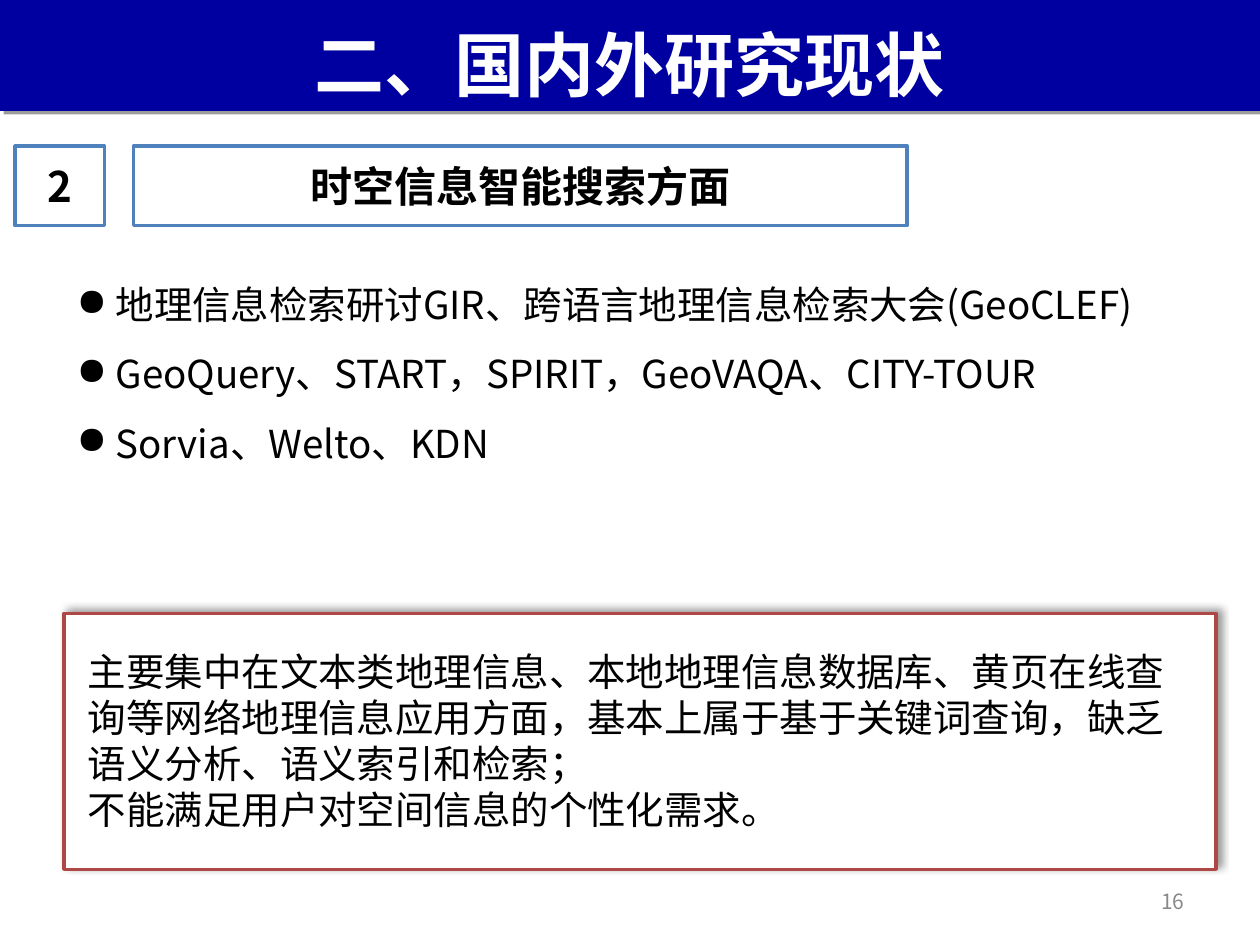
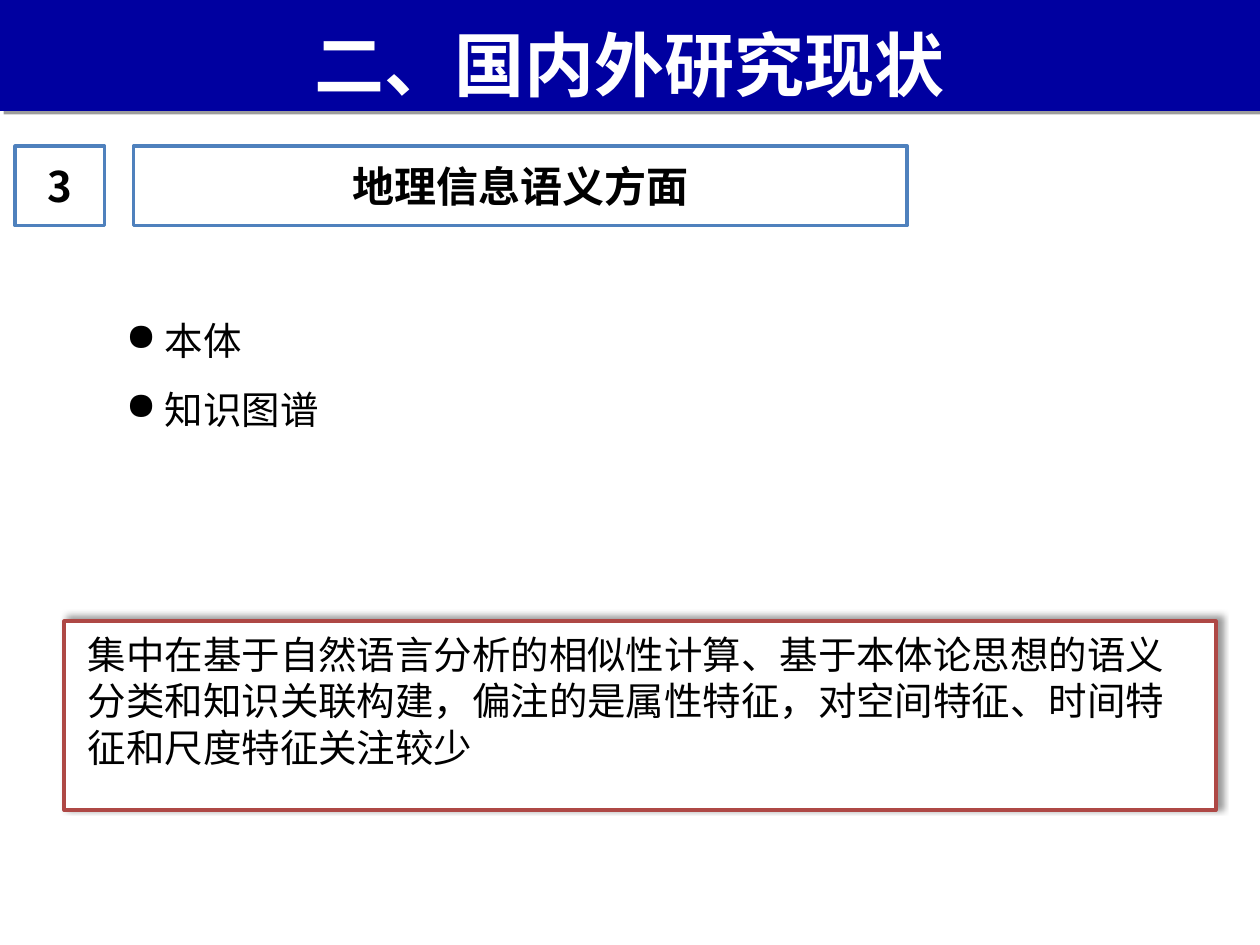
import pptx
import pptx.dml.color
import pptx.enum.shapes
import pptx.enum.text
import pptx.oxml
import pptx.oxml.ns
import pptx.util
from lxml import etree

Inches = pptx.util.Inches
Pt = pptx.util.Pt
ALIGN = pptx.enum.text.PP_ALIGN
ANCHOR = pptx.enum.text.MSO_ANCHOR

CHAPTER = "二、国内外研究现状"
SECTIONS = [
    {
        "number": "2",
        "topic": "时空信息智能搜索方面",
        "works": [
            "地理信息检索研讨GIR、跨语言地理信息检索大会(GeoCLEF)",
            "GeoQuery、START，SPIRIT，GeoVAQA、CITY-TOUR",
            "Sorvia、Welto、KDN",
        ],
        "works_at": (0.51, 2, 9.06, 1.77),
        "summary": [
            "主要集中在文本类地理信息、本地地理信息数据库、黄页在线查询等网络地理信息应用方面，"
            "基本上属于基于关键词查询，缺乏语义分析、语义索引和检索；",
            "不能满足用户对空间信息的个性化需求。",
        ],
        "frame_at": (0.51, 4.87, 9.14, 2.03),
        "summary_at": (0.6, 5.09, 8.9, 1.58),
        "page": "16",
    },
    {
        "number": "3",
        "topic": "地理信息语义方面",
        "works": ["本体", "知识图谱"],
        "works_at": (0.9, 2.28, 8.74, 1.21),
        "summary": [
            "集中在基于自然语言分析的相似性计算、基于本体论思想的语义分类和知识关联构建，"
            "偏注的是属性特征，对空间特征、时间特征和尺度特征关注较少",
        ],
        "frame_at": (0.51, 4.93, 9.14, 1.5),
        "summary_at": (0.6, 4.96, 8.9, 1.21),
        "page": None,
    },
]

COLORS = {
    "band": "0000A0",
    "white": "FFFFFF",
    "black": "000000",
    "heading": "4F81BD",
    "frame": "AE4845",
    "page": "898989",
}
FONT = "Noto Sans CJK SC"
STYLES = {
    "title": {"size": Pt(40), "bold": True, "color": "white"},
    "heading": {"size": Pt(24), "bold": True, "color": "black"},
    "body": {"size": Pt(22), "bold": False, "color": "black"},
    "page": {"size": Pt(12), "bold": False, "color": "page"},
}
BAND_SHADOW = {"alpha": 38, "blur": 0, "distance": 3, "angle": 45}
FRAME_SHADOW = {"alpha": 40, "blur": 4, "distance": 3, "angle": 315}
BULLET_INDENT = Inches(0.31)


def rgb(color):
    return pptx.dml.color.RGBColor.from_string(COLORS[color])


def add_rect(slide, at, fill, line=None, shadow=None):
    rect = slide.shapes.add_shape(
        pptx.enum.shapes.MSO_SHAPE.RECTANGLE, *map(Inches, at))
    rect.shadow.inherit = False
    rect.fill.solid()
    rect.fill.fore_color.rgb = rgb(fill)
    if line:
        rect.line.color.rgb = rgb(line)
        rect.line.width = Pt(2)
    else:
        rect.line.fill.background()
    if shadow:
        effects = rect._element.spPr.find(pptx.oxml.ns.qn("a:effectLst"))
        effects.append(pptx.oxml.parse_xml(
            f'<a:outerShdw {pptx.oxml.ns.nsdecls("a")} blurRad="{Pt(shadow["blur"])}"'
            f' dist="{Pt(shadow["distance"])}" dir="{shadow["angle"] * 60000}"'
            ' algn="ctr" rotWithShape="0">'
            f'<a:srgbClr val="{COLORS["black"]}"><a:alpha val="{shadow["alpha"] * 1000}"/>'
            '</a:srgbClr></a:outerShdw>'))
    return rect


def add_bullet(paragraph):
    properties = paragraph._p.get_or_add_pPr()
    properties.set("marL", str(BULLET_INDENT))
    properties.set("indent", str(-BULLET_INDENT))
    bullet = etree.SubElement(properties, pptx.oxml.ns.qn("a:buChar"))
    bullet.set("char", "●")
    paragraph.line_spacing = 1.5


def write(shape, lines, style, align=ALIGN.LEFT, anchor=ANCHOR.MIDDLE, bullets=False):
    frame = shape.text_frame
    frame.word_wrap = True
    frame.vertical_anchor = anchor
    for index, line in enumerate(lines):
        paragraph = frame.add_paragraph() if index else frame.paragraphs[0]
        paragraph.alignment = align
        if bullets:
            add_bullet(paragraph)
        run = paragraph.add_run()
        run.text = line
        run.font.name = FONT
        for name, value in STYLES[style].items():
            if name == "color":
                run.font.color.rgb = rgb(value)
            else:
                setattr(run.font, name, value)
        east_asian = etree.SubElement(run.font._element, pptx.oxml.ns.qn("a:ea"))
        east_asian.set("typeface", FONT)


def add_text(slide, at, lines, style, **layout):
    write(slide.shapes.add_textbox(*map(Inches, at)), lines, style, **layout)


def add_heading(slide, at, text):
    box = add_rect(slide, at, "white", line="heading")
    write(box, [text], "heading", align=ALIGN.CENTER)


def build_section(deck, section):
    slide = deck.slides.add_slide(deck.slide_layouts[6])
    add_rect(slide, (0, 0, 10, 0.88), "band", shadow=BAND_SHADOW)
    add_text(slide, (0.27, 0.13, 9.45, 0.75), [CHAPTER], "title", align=ALIGN.CENTER)
    if section["page"]:
        add_text(slide, (7.17, 6.95, 2.33, 0.4), [section["page"]], "page",
                 align=ALIGN.RIGHT)
    add_heading(slide, (1.06, 1.16, 6.14, 0.63), section["topic"])
    add_heading(slide, (0.12, 1.16, 0.71, 0.63), section["number"])
    add_text(slide, section["works_at"], section["works"], "body",
             anchor=ANCHOR.TOP, bullets=True)
    add_rect(slide, section["frame_at"], "white", line="frame", shadow=FRAME_SHADOW)
    add_text(slide, section["summary_at"], section["summary"], "body",
             anchor=ANCHOR.TOP)


def main():
    deck = pptx.Presentation()
    deck.slide_width = Inches(10)
    deck.slide_height = Inches(7.5)
    for section in SECTIONS:
        build_section(deck, section)
    deck.save("out.pptx")


if __name__ == "__main__":
    main()
